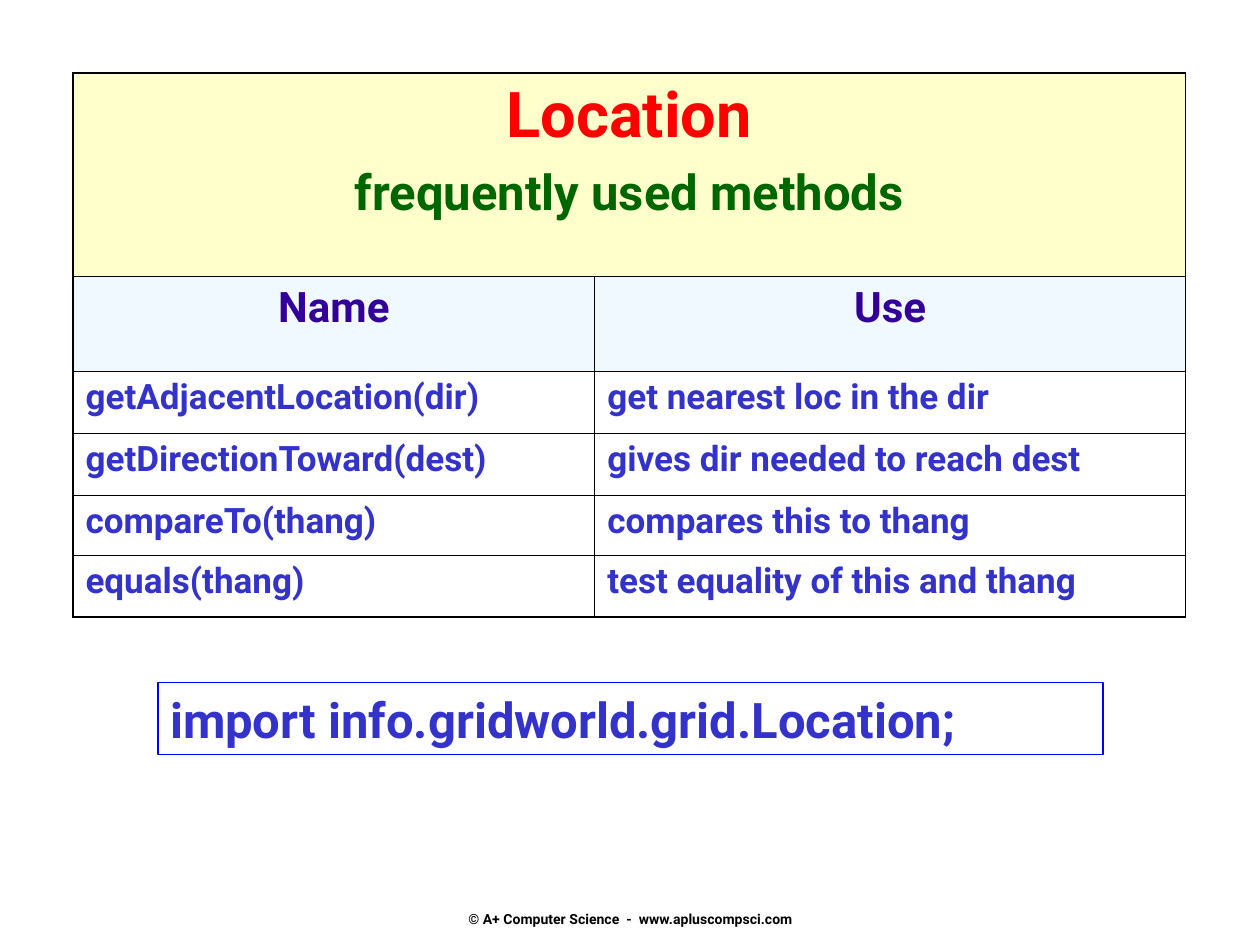
from lxml import etree
from pptx import Presentation
from pptx.dml.color import RGBColor
from pptx.enum.shapes import MSO_SHAPE
from pptx.enum.text import MSO_ANCHOR, PP_ALIGN
from pptx.oxml.ns import qn
from pptx.util import Cm, Pt

RECTANGLE = MSO_SHAPE.RECTANGLE
MIDDLE = MSO_ANCHOR.MIDDLE
LEFT, CENTER = PP_ALIGN.LEFT, PP_ALIGN.CENTER

BLACK = RGBColor(0x00, 0x00, 0x00)
RED = RGBColor(0xFF, 0x00, 0x00)
GREEN = RGBColor(0x00, 0x66, 0x00)
PURPLE = RGBColor(0x33, 0x00, 0x99)
INDIGO = RGBColor(0x33, 0x33, 0xCC)
BLUE = RGBColor(0x00, 0x00, 0xFF)
CREAM = RGBColor(0xFF, 0xFF, 0xCC)
PALE_BLUE = RGBColor(0xE1, 0xF4, 0xFF)

OUTER_BORDER, INNER_BORDER = Pt(1.08), Pt(0.45)

METHODS = [
    ("getAdjacentLocation(dir)", "get nearest loc in the dir"),
    ("getDirectionToward(dest)", "gives dir needed to reach dest"),
    ("compareTo(thang)", "compares this to thang"),
    ("equals(thang)", "test equality of this and thang"),
]
COLUMN_WIDTHS = [10.52, 11.91]
ROW_HEIGHTS = [4.11, 1.9, 1.25, 1.25, 1.21, 1.25]


class SlideBuilder:
    font = "Roboto"

    def __init__(self, slide):
        self.slide = slide

    def set_text(self, paragraph, text, size, color, align=LEFT):
        paragraph.text = text
        paragraph.alignment = align
        for run in paragraph.runs:
            run.font.name = self.font
            run.font.size = Pt(size)
            run.font.bold = True
            run.font.color.rgb = color

    def text_box(self, left, top, width, height, text, size, color):
        box = self.slide.shapes.add_textbox(Cm(left), Cm(top), Cm(width), Cm(height))
        box.text_frame.vertical_anchor = MIDDLE
        box.text_frame.word_wrap = False
        self.set_text(box.text_frame.paragraphs[0], text, size, color, CENTER)

    def framed_text(self, left, top, width, height, text, size, color, line_color):
        frame = self.slide.shapes.add_shape(
            RECTANGLE, Cm(left), Cm(top), Cm(width), Cm(height))
        frame.shadow.inherit = False
        frame.fill.background()
        frame.line.color.rgb = line_color
        frame.line.width = Pt(1)
        frame.text_frame.word_wrap = True
        frame.text_frame.vertical_anchor = MIDDLE
        self.set_text(frame.text_frame.paragraphs[0], text, size, color)

    def table(self, left, top, widths, heights):
        grid = self.slide.shapes.add_table(
            len(heights), len(widths), Cm(left), Cm(top),
            Cm(sum(widths)), Cm(sum(heights))).table
        grid.first_row = grid.horz_banding = False
        for column, width in zip(grid.columns, widths):
            column.width = Cm(width)
        for row, height in zip(grid.rows, heights):
            row.height = Cm(height)
        last_row, last_column = len(heights) - 1, len(widths) - 1
        for r in range(len(heights)):
            for c in range(len(widths)):
                cell = grid.cell(r, c)
                cell.fill.background()
                self.borders(cell, {
                    "a:lnL": c == 0, "a:lnR": c == last_column,
                    "a:lnT": r == 0, "a:lnB": r == last_row})
        return grid

    def borders(self, cell, sides):
        properties = cell._tc.get_or_add_tcPr()
        for position, (tag, is_outer) in enumerate(sides.items()):
            width = OUTER_BORDER if is_outer else INNER_BORDER
            line = etree.Element(qn(tag), w=str(int(width)))
            fill = etree.SubElement(line, qn("a:solidFill"))
            etree.SubElement(fill, qn("a:srgbClr"), val=str(BLACK))
            properties.insert(position, line)

    def cell_fill(self, cell, color, opacity=100):
        cell.fill.solid()
        cell.fill.fore_color.rgb = color
        if opacity < 100:
            tint = cell._tc.tcPr.find(qn("a:solidFill")).find(qn("a:srgbClr"))
            etree.SubElement(tint, qn("a:alpha"), val=str(opacity * 1000))


def main():
    presentation = Presentation()
    presentation.slide_width, presentation.slide_height = Cm(25.4), Cm(19.05)
    builder = SlideBuilder(presentation.slides.add_slide(presentation.slide_layouts[6]))

    # Copyright line
    builder.text_box(8.69, 18.2, 8.05, 0.64,
                     "© A+ Computer Science  -  www.apluscompsci.com", 8, BLACK)

    # Table title
    methods = builder.table(1.47, 1.47, COLUMN_WIDTHS, ROW_HEIGHTS)
    title = methods.cell(0, 0)
    title.merge(methods.cell(0, 1))
    builder.cell_fill(title, CREAM)
    builder.set_text(title.text_frame.paragraphs[0], "Location", 36, RED, CENTER)
    subtitle = title.text_frame.add_paragraph()
    builder.set_text(subtitle, "frequently used methods", 28, GREEN, CENTER)
    subtitle.space_before = Pt(7)

    # Column headings
    for column, heading in enumerate(["Name", "Use"]):
        cell = methods.cell(1, column)
        builder.cell_fill(cell, PALE_BLUE, 50)
        builder.set_text(cell.text_frame.paragraphs[0], heading, 24, PURPLE, CENTER)

    # Method rows
    for row, entries in enumerate(METHODS, start=2):
        for column, entry in enumerate(entries):
            paragraph = methods.cell(row, column).text_frame.paragraphs[0]
            builder.set_text(paragraph, entry, 20, INDIGO)

    # Import statement
    builder.framed_text(3.18, 13.76, 19.05, 1.45,
                        "import info.gridworld.grid.Location;", 28, INDIGO, BLUE)

    presentation.save("out.pptx")


if __name__ == "__main__":
    main()
